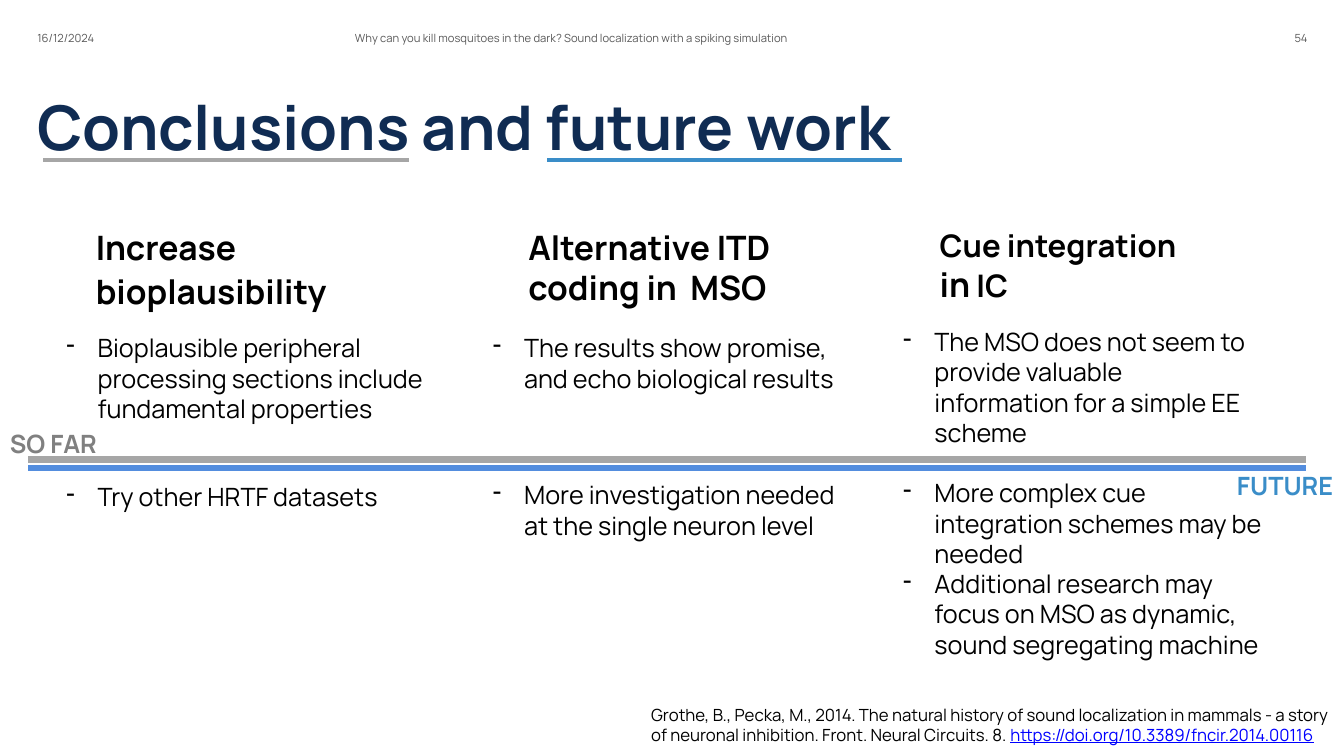
"""Build the conclusions and future work slide."""
from dataclasses import dataclass
from lxml import etree
from pptx import Presentation
from pptx.dml.color import RGBColor
from pptx.enum import shapes, text
from pptx.oxml import ns
from pptx.util import Inches, Pt

FONT = "Manrope"
HUES = {
    "navy": "102C53", "black": "000000", "dim": "595959", "gray": "808080",
    "ash": "A6A6A6", "blue": "3A8DC8", "sky": "538DDE", "link": "0000FF",
}


@dataclass
class Note:
    """A block of text and its place, in inches."""
    x: float
    y: float
    w: float
    h: float
    lines: list[str]
    size: float = 18
    hue: str = "black"
    bold: bool = False
    dash: bool = False
    flush: bool = False
    low: bool = False
    right: bool = False
    lead: float = 1.0


@dataclass
class Rule:
    """A level line, in inches, with its width in points."""
    left: float
    right: float
    y: float
    hue: str
    width: float


def color(name: str) -> RGBColor:
    """Look up a colour."""
    return RGBColor.from_string(HUES[name])


def add_dash(para) -> None:
    """Give a paragraph a hanging dash."""
    props = para._p.get_or_add_pPr()
    props.set("marL", str(Inches(0.31)))
    props.set("indent", str(-Inches(0.31)))
    etree.SubElement(props, ns.qn("a:buChar")).set("char", "-")


def fill_note(shape, note: Note):
    """Place a shape, write the note in it and return its paragraphs."""
    shape.left, shape.top = Inches(note.x), Inches(note.y)
    shape.width, shape.height = Inches(note.w), Inches(note.h)
    frame = shape.text_frame
    frame.text = "\n".join(note.lines)
    frame.word_wrap = True
    frame.auto_size = text.MSO_AUTO_SIZE.NONE
    frame.vertical_anchor = text.MSO_ANCHOR.BOTTOM if note.low else text.MSO_ANCHOR.TOP
    if note.flush:
        frame.margin_left = frame.margin_right = 0
        frame.margin_top = frame.margin_bottom = 0
    for para in frame.paragraphs:
        para.alignment = text.PP_ALIGN.RIGHT if note.right else text.PP_ALIGN.LEFT
        para.line_spacing = note.lead
        if note.dash:
            add_dash(para)
        font = para.font
        font.name, font.size, font.bold = FONT, Pt(note.size), note.bold
        font.color.rgb = color(note.hue)
    return frame.paragraphs


def add_note(slide, note: Note):
    """Add a text box for the note."""
    return fill_note(slide.shapes.add_textbox(0, 0, 0, 0), note)


def add_rule(slide, rule: Rule) -> None:
    """Draw a level line."""
    line = slide.shapes.add_connector(
        shapes.MSO_CONNECTOR.STRAIGHT, Inches(rule.left), Inches(rule.y),
        Inches(rule.right), Inches(rule.y))
    line.line.color.rgb = color(rule.hue)
    line.line.width = Pt(rule.width)
    etree.SubElement(line._element.spPr, ns.qn("a:effectLst"))


def header(x: float, w: float, words: str, right: bool = False) -> Note:
    """Describe a small text in the top strip."""
    return Note(x, 0.04, w, 0.4, [words], 8, "dim", flush=True, low=True, right=right)


def head(x: float, y: float, w: float, words: str, size: float = 24, lead: float = 1.0) -> Note:
    """Describe a column heading."""
    return Note(x, y, w, 0.85, [words], size, bold=True, flush=True, lead=lead)


def points(x: float, y: float, w: float, h: float, *lines: str) -> Note:
    """Describe a dashed list."""
    return Note(x, y, w, h, list(lines), dash=True)


TITLE = Note(0.37, 0.88, 8.78, 0.97, ["Conclusions and future work"],
             44, "navy", bold=True, flush=True)
NOTES = [
    header(0.37, 2.61, "16/12/2024"),
    header(3.52, 4.5, "Why can you kill mosquitoes in the dark? "
           "Sound localization with a spiking simulation"),
    header(11.83, 1.14, "54", right=True),
    head(0.95, 2.21, 2.85, "Increase bioplausibility", lead=1.1),
    head(5.24, 2.25, 2.85, "Alternative ITD coding in  MSO"),
    points(0.56, 3.25, 3.89, 1.01,
           "Bioplausible peripheral processing sections include fundamental properties"),
    points(4.79, 3.25, 3.75, 0.71, "The results show promise, and echo biological results"),
    points(8.86, 3.19, 3.75, 1.31, "The MSO does not seem to provide valuable "
           "information for a simple EE scheme"),
    points(0.56, 4.73, 3.89, 0.4, "Try other HRTF datasets"),
    points(4.79, 4.71, 3.75, 0.71, "More investigation needed at the single neuron level"),
    points(8.86, 4.69, 3.75, 1.92, "More complex cue integration schemes may be needed",
           "Additional research may focus on MSO as dynamic, sound segregating machine"),
    Note(12.17, 4.62, 1.27, 0.4, ["FUTURE"], hue="blue", bold=True),
    Note(0, 4.2, 1.27, 0.4, ["SO FAR"], hue="gray", bold=True),
]
CUE = head(9.32, 2.25, 2.51, "Cue integration ", 22.2)
CITE = Note(6.36, 6.94, 7.08, 0.5, [
    "Grothe, B., Pecka, M., 2014. The natural history of sound localization in mammals "
    "- a story of neuronal inhibition. Front. Neural Circuits. 8. "], 12)
RULES = [
    Rule(0.28, 12.95, 4.64, "sky", 4.5),
    Rule(0.28, 12.95, 4.56, "ash", 4.5),
    Rule(0.43, 4.06, 1.59, "ash", 3),
    Rule(5.43, 8.95, 1.59, "blue", 3),
]


def add_run(para, words: str):
    """Append a run and return its font."""
    run = para.add_run()
    run.text = words
    return run.font


def main() -> None:
    """Build and save the slide."""
    deck = Presentation()
    deck.slide_width, deck.slide_height = Inches(13.33), Inches(7.5)
    slide = deck.slides.add_slide(deck.slide_layouts[5])
    fill_note(slide.shapes.title, TITLE)
    for note in NOTES:
        add_note(slide, note)
    cue = add_note(slide, CUE)[0]
    add_run(cue, "in").size = Pt(24.1)
    add_run(cue, " IC")
    cite = add_note(slide, CITE)[0]
    link = add_run(cite, "https://doi.org/10.3389/fncir.2014.00116")
    link.underline = True
    link.color.rgb = color("link")
    for rule in RULES:
        add_rule(slide, rule)
    deck.save("out.pptx")


if __name__ == "__main__":
    main()
